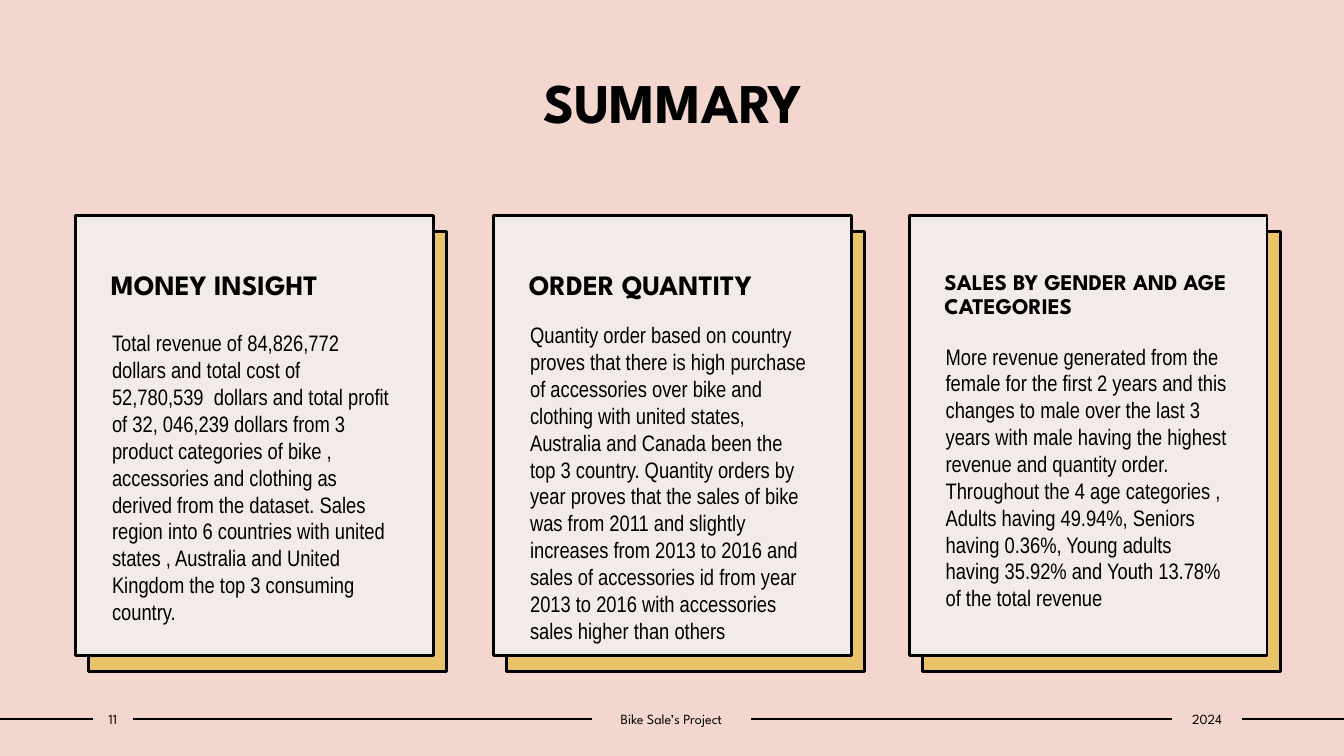
"""Build the summary slide of a bike sales project."""
from lxml.etree import SubElement
from pptx import Presentation
from pptx.dml.color import RGBColor
from pptx.enum.shapes import MSO_CONNECTOR as Connector, MSO_SHAPE as Shape
from pptx.enum.text import MSO_ANCHOR as Anchor, PP_ALIGN as Align
from pptx.oxml.ns import qn
from pptx.util import Pt

PINK = RGBColor(0xF3, 0xD6, 0xCD)
GOLD = RGBColor(0xE9, 0xC3, 0x69)
CREAM = RGBColor(0xF3, 0xEB, 0xE8)
BLACK = RGBColor(0, 0, 0)

DISPLAY, BODY = "League Spartan", "Arial Narrow"
PAGE_WIDTH, PAGE_HEIGHT = 960, 540
CARD_TOP, CARD_WIDTH, CARD_HEIGHT = 154, 255.6, 314
SHADOW_X, SHADOW_Y = 9.4, 11.5
BODY_INDENT = 19
FOOTER_TOP, FOOTER_HEIGHT = 504, 19.4
FOOTER_MIDDLE = FOOTER_TOP + FOOTER_HEIGHT / 2

CARDS = [
    (54, "MONEY INSIGHT", 20, 231.8,
     "Total revenue of 84,826,772 dollars and total cost of 52,780,539  dollars "
     "and total profit of 32, 046,239 dollars from 3 product categories of bike , "
     "accessories and clothing as derived from the dataset. Sales region into 6 "
     "countries with united states , Australia and United Kingdom the top 3 "
     "consuming country."),
    (352.6, "ORDER QUANTITY", 20, 226,
     "Quantity order based on country proves that there is high purchase of "
     "accessories over bike and clothing with united states, Australia and Canada "
     "been the top 3 country. Quantity orders by year proves that the sales of "
     "bike was from 2011 and slightly increases from 2013 to 2016 and sales of "
     "accessories id from year 2013 to 2016 with accessories sales higher than "
     "others"),
    (649.4, "SALES BY GENDER AND AGE CATEGORIES", 16, 241.2,
     "More revenue generated from the female for the first 2 years and this "
     "changes to male over the last 3 years with male having the highest revenue "
     "and quantity order. Throughout the 4 age categories , Adults having 49.94%, "
     "Seniors having 0.36%, Young adults having 35.92% and Youth 13.78% of the "
     "total revenue"),
]
FOOTER = [(66.2, 28.8, "11"), (422.6, 114, "Bike Sale’s Project"), (837, 50.4, "2024")]


def write(shape, text, size, font=DISPLAY, bold=False, align=Align.LEFT,
          anchor=Anchor.TOP, insets=(7.2, 3.6, 7.2, 3.6), spacing=None):
    """Put one formatted paragraph into a shape."""
    frame = shape.text_frame
    frame.word_wrap = True
    frame.vertical_anchor = anchor
    (frame.margin_left, frame.margin_top,
     frame.margin_right, frame.margin_bottom) = map(Pt, insets)
    para = frame.paragraphs[0]
    para.alignment = align
    para.line_spacing = spacing
    span = para.add_run()
    span.text = text
    span.font.name = font
    span.font.size = Pt(size)
    span.font.bold = bold
    span.font.color.rgb = BLACK


def add_text(page, left, top, width, height, text, size, **style):
    """Add a text box and return it."""
    box = page.shapes.add_textbox(Pt(left), Pt(top), Pt(width), Pt(height))
    write(box, text, size, **style)
    return box


def add_panel(page, left, top, fill):
    """Add an outlined card-sized rectangle and return it."""
    panel = page.shapes.add_shape(
        Shape.RECTANGLE, Pt(left), Pt(top), Pt(CARD_WIDTH), Pt(CARD_HEIGHT))
    panel.shadow.inherit = False
    panel.fill.solid()
    panel.fill.fore_color.rgb = fill
    panel.line.color.rgb = BLACK
    panel.line.width = Pt(2)
    return panel


def add_card(page, left, heading, size, body_top, body):
    """Add a card with its offset backing, heading and body text."""
    add_panel(page, left + SHADOW_X, CARD_TOP + SHADOW_Y, GOLD)
    panel = add_panel(page, left, CARD_TOP, CREAM)
    write(panel, heading, size, bold=True, insets=(25.2, 39.6, 7.2, 3.6), spacing=0.9)
    add_text(page, left + BODY_INDENT, body_top, 216,
             CARD_TOP + CARD_HEIGHT - body_top, body, 16, font=BODY)


def add_rule(page, before, after):
    """Draw a footer line between two labels, or to the page edge."""
    rule = page.shapes.add_connector(
        Connector.STRAIGHT, 0, Pt(FOOTER_MIDDLE), Pt(PAGE_WIDTH), Pt(FOOTER_MIDDLE))
    rule.line.color.rgb = BLACK
    rule.line.width = Pt(1)
    SubElement(rule.element.spPr, qn("a:effectLst"))
    if before is not None:
        rule.begin_connect(before, 3)
    if after is not None:
        rule.end_connect(after, 1)


def add_footer(page):
    """Add the footer labels and the lines that join them."""
    labels = [add_text(page, left, FOOTER_TOP, width, FOOTER_HEIGHT, text, 10,
                       align=Align.CENTER, anchor=Anchor.MIDDLE,
                       insets=(0, 3.6, 0, 3.6))
              for left, width, text in FOOTER]
    for before, after in zip([None] + labels, labels + [None]):
        add_rule(page, before, after)


def main():
    """Build and save the deck."""
    deck = Presentation()
    deck.slide_width, deck.slide_height = Pt(PAGE_WIDTH), Pt(PAGE_HEIGHT)
    page = deck.slides.add_slide(deck.slide_layouts[6])
    page.background.fill.solid()
    page.background.fill.fore_color.rgb = PINK
    add_text(page, 90, 40.3, 780.5, 69.8, "SUMMARY", 40, bold=True,
             align=Align.CENTER, anchor=Anchor.MIDDLE, spacing=0.9)
    for card in CARDS:
        add_card(page, *card)
    add_footer(page)
    deck.save("out.pptx")


if __name__ == "__main__":
    main()
